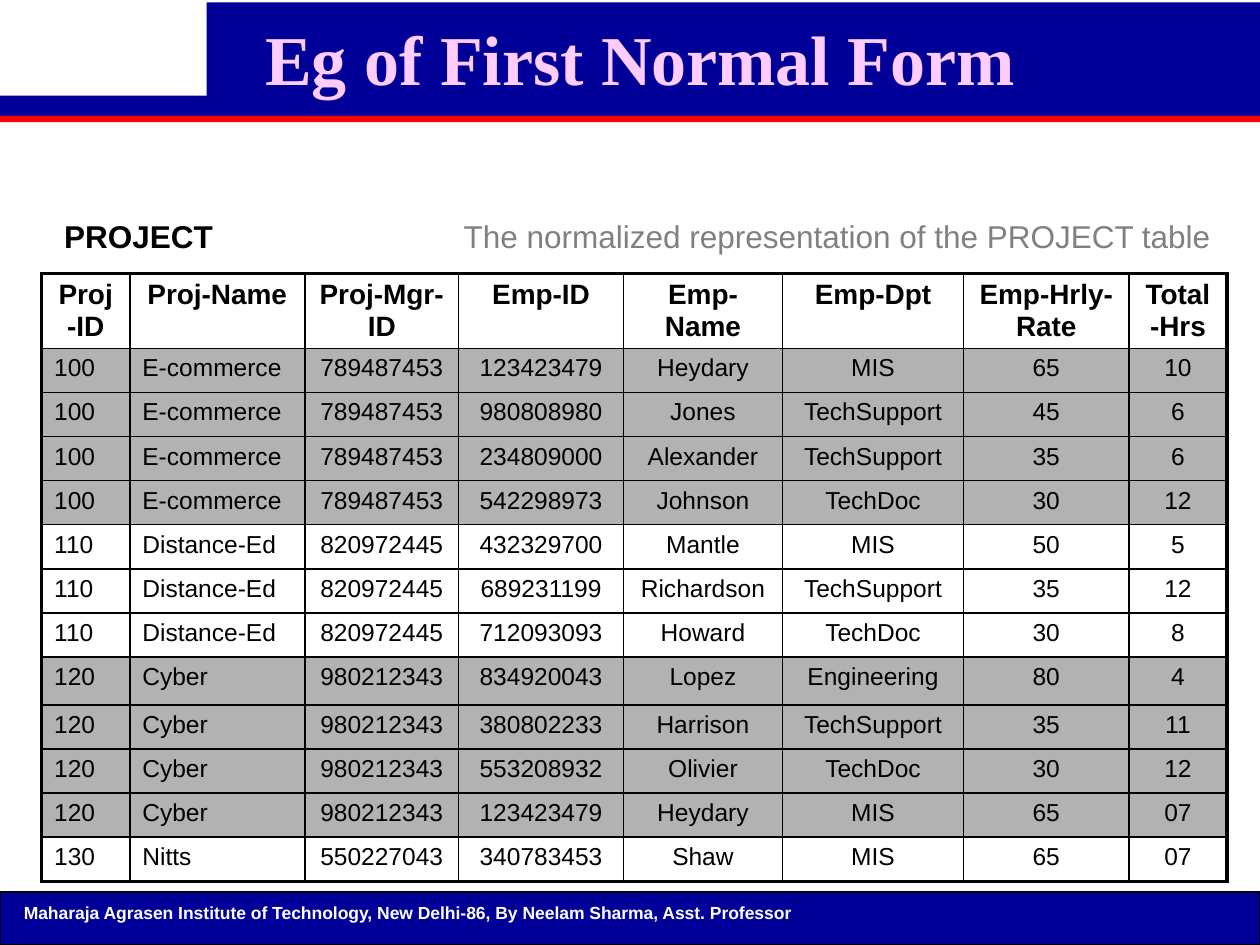
from dataclasses import dataclass

from lxml.etree import SubElement as Sub
from pptx import Presentation
from pptx.dml.color import RGBColor as Rgb
from pptx.enum.shapes import MSO_SHAPE as Shape
from pptx.enum.text import MSO_ANCHOR as Anchor, MSO_AUTO_SIZE as Fit, PP_ALIGN as Align
from pptx.oxml.ns import qn
from pptx.util import Inches, Pt


@dataclass(frozen=True)
class Theme:
    navy: str = "000099"
    red: str = "FF0000"
    pink: str = "FFCCFF"
    white: str = "FFFFFF"
    black: str = "000000"
    gray: str = "808080"
    band: str = "B2B2B2"
    sans: str = "Arial"
    serif: str = "Times New Roman"
    title: int = 40
    label: int = 18
    head: int = 16
    body: int = 14
    foot: int = 10
    thin: float = 1
    thick: float = 2.25


T = Theme()
WIDE, HIGH = 10, 7.5

# Table grid: column widths, row heights and where the table starts
COLS = [0.7, 1.39, 1.22, 1.31, 1.26, 1.44, 1.31, 0.78]
HEAD_H, ROW_H, GAP_H = 0.58, 0.35, 0.38
LEFT, TOP = 0.33, 2.17

HEADS = ["Proj-ID", "Proj-Name", "Proj-Mgr-ID", "Emp-ID", "Emp-Name",
         "Emp-Dpt", "Emp-Hrly-Rate", "Total-Hrs"]

# Each project: its shared fields, its shading and its staff
PROJECTS = [
    (("100", "E-commerce", "789487453"), True, [
        ("123423479", "Heydary", "MIS", "65", "10"),
        ("980808980", "Jones", "TechSupport", "45", "6"),
        ("234809000", "Alexander", "TechSupport", "35", "6"),
        ("542298973", "Johnson", "TechDoc", "30", "12")]),
    (("110", "Distance-Ed", "820972445"), False, [
        ("432329700", "Mantle", "MIS", "50", "5"),
        ("689231199", "Richardson", "TechSupport", "35", "12"),
        ("712093093", "Howard", "TechDoc", "30", "8")]),
    (("120", "Cyber", "980212343"), True, [
        ("834920043", "Lopez", "Engineering", "80", "4"),
        ("380802233", "Harrison", "TechSupport", "35", "11"),
        ("553208932", "Olivier", "TechDoc", "30", "12"),
        ("123423479", "Heydary", "MIS", "65", "07")]),
    (("130", "Nitts", "550227043"), False, [
        ("340783453", "Shaw", "MIS", "65", "07")]),
]


def box(x, y, w, h):
    return [Inches(v) for v in (x, y, w, h)]


def write(frame, text, size=T.body, font=T.sans, color=T.black, bold=False,
          align=Align.LEFT):
    para = frame.paragraphs[0]
    para.alignment = align
    run = para.add_run()
    run.text = text
    face = run.font
    face.size, face.name, face.bold = Pt(size), font, bold
    face.color.rgb = Rgb.from_string(color)


def bar(slide, area, fill, line=None):
    shape = slide.shapes.add_shape(Shape.RECTANGLE, *box(*area))
    shape.shadow.inherit = False
    shape.fill.solid()
    shape.fill.fore_color.rgb = Rgb.from_string(fill)
    if line:
        shape.line.color.rgb = Rgb.from_string(line)
        shape.line.width = Pt(0.75)
    else:
        shape.line.fill.background()


def label(slide, area, text, wrap=False, **style):
    frame = slide.shapes.add_textbox(*box(*area)).text_frame
    frame.word_wrap = wrap
    frame.auto_size = Fit.SHAPE_TO_FIT_TEXT
    write(frame, text, **style)


def title(slide, text):
    shape = slide.shapes.title
    shape.left, shape.top, shape.width, shape.height = box(0.58, 0, 9, 1)
    slide.shapes._spTree.append(shape._element)  # in front of the bars
    frame = shape.text_frame
    frame.auto_size = Fit.NONE
    frame.vertical_anchor = Anchor.TOP
    frame.margin_top = Inches(0.12)
    write(frame, text, size=T.title, font=T.serif, color=T.pink, bold=True,
          align=Align.CENTER)


def edges(cell, sides):
    props = cell._tc.get_or_add_tcPr()
    for spot, (side, width) in enumerate(sides.items()):
        line = Sub(props, qn("a:ln" + side), w=str(Pt(width)))
        props.insert(spot, line)
        fill = Sub(line, qn("a:solidFill"))
        Sub(fill, qn("a:srgbClr"), val=T.black)


def paint(cell, shade):
    if shade:
        cell.fill.solid()
        cell.fill.fore_color.rgb = Rgb.from_string(T.band)
    else:
        cell.fill.background()


def grid(slide):
    rows = [(HEADS, False, HEAD_H)]
    for shared, shade, staff in PROJECTS:
        rows += [(shared + person, shade, ROW_H) for person in staff]
    # The first row of the third project is a little taller
    mark = 1 + sum(len(staff) for _, _, staff in PROJECTS[:2])
    rows[mark] = (*rows[mark][:2], GAP_H)

    area = box(LEFT, TOP, sum(COLS), sum(h for _, _, h in rows))
    table = slide.shapes.add_table(len(rows), len(COLS), *area).table
    table.first_row = table.horz_banding = False
    for col, width in zip(table.columns, COLS):
        col.width = Inches(width)

    def rim(outer):
        return T.thick if outer else T.thin

    for r, (texts, shade, height) in enumerate(rows):
        table.rows[r].height = Inches(height)
        for c, text in enumerate(texts):
            cell = table.cell(r, c)
            top = r == 0
            write(cell.text_frame, text, size=T.head if top else T.body, bold=top,
                  align=Align.CENTER if top or c > 1 else Align.LEFT)
            paint(cell, shade)
            edges(cell, {"L": rim(c == 0), "R": rim(c == len(COLS) - 1),
                         "T": rim(top), "B": rim(r == len(rows) - 1)})


def main():
    deck = Presentation()
    deck.slide_width, deck.slide_height = Inches(WIDE), Inches(HIGH)
    slide = deck.slides.add_slide(deck.slide_layouts[5])

    # Header and footer bars
    bar(slide, (0, 0.76, WIDE, 0.16), T.navy)
    bar(slide, (0, 0.92, WIDE, 0.05), T.red)
    bar(slide, (1.64, 0.02, WIDE - 1.64, 0.76), T.navy)
    bar(slide, (0, 7.08, WIDE, HIGH - 7.08), T.navy, line=T.black)
    label(slide, (0.09, 7.11, 9.58, 0.27),
          "Maharaja Agrasen Institute of Technology, New Delhi-86, "
          "By Neelam Sharma, Asst. Professor",
          wrap=True, size=T.foot, color=T.white, bold=True)

    # Title, table and its captions
    title(slide, "Eg of First Normal Form")
    grid(slide)
    label(slide, (0.41, 1.67, 1.38, 0.4), "PROJECT",
          size=T.label, bold=True, align=Align.CENTER)
    label(slide, (3.58, 1.67, 6.13, 0.4),
          "The normalized representation of the PROJECT table",
          size=T.label, color=T.gray, align=Align.CENTER)

    deck.save("out.pptx")


main()
